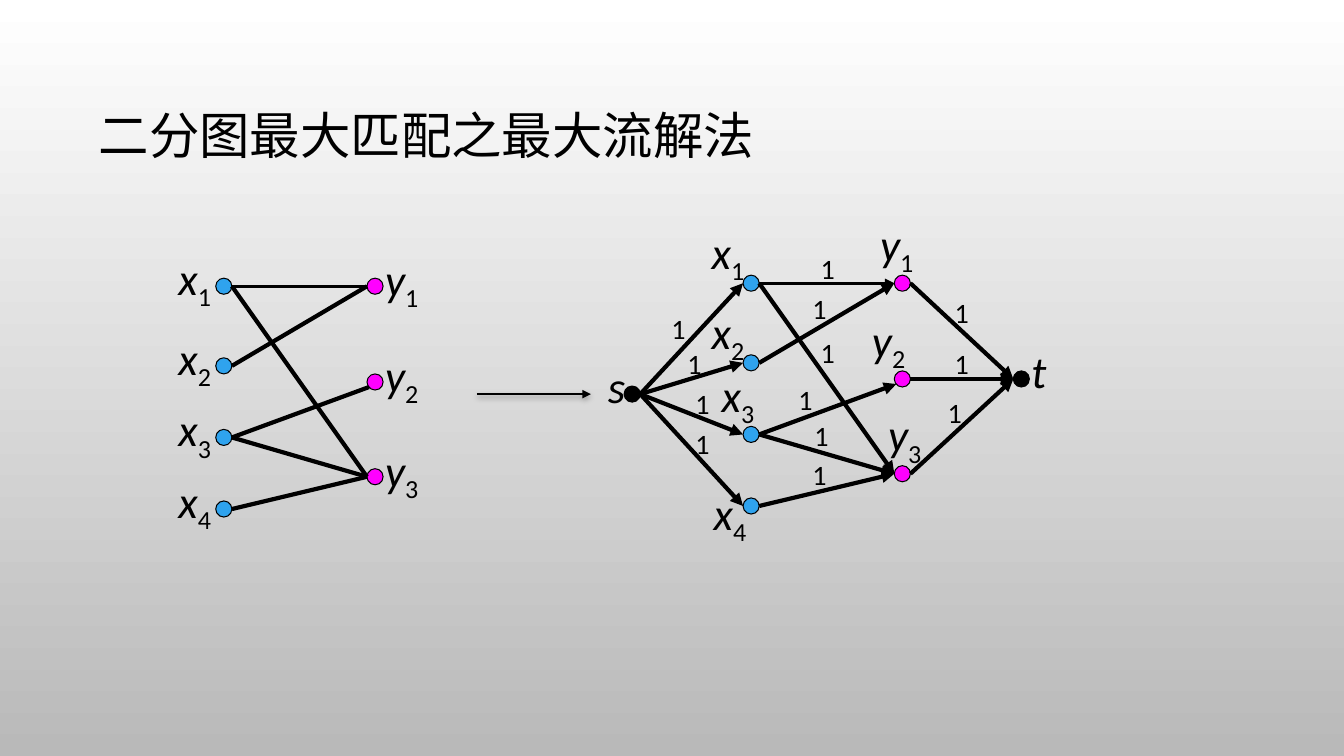
from lxml import etree
from pptx import Presentation
from pptx.dml.color import RGBColor
from pptx.enum.shapes import MSO_CONNECTOR, MSO_SHAPE
from pptx.enum.text import MSO_ANCHOR, MSO_AUTO_SIZE
from pptx.oxml.ns import qn
from pptx.util import Inches, Pt

STRAIGHT = MSO_CONNECTOR.STRAIGHT
OVAL = MSO_SHAPE.OVAL
MIDDLE = MSO_ANCHOR.MIDDLE
FIT_SHAPE = MSO_AUTO_SIZE.SHAPE_TO_FIT_TEXT

BLACK = RGBColor(0, 0, 0)
WHITE = RGBColor(0xFF, 0xFF, 0xFF)
GREY = RGBColor(0xB9, 0xB9, 0xB9)
BLUE = RGBColor(0x2F, 0xA3, 0xEE)
MAGENTA = RGBColor(0xFF, 0x00, 0xFF)
FONT = "Calibri"
DOT = 0.16

# Top left corners of the vertices of the bipartite graph
VERTICES = {
    "x1": (2.14, 2.76), "x2": (2.14, 3.55), "x3": (2.14, 4.26), "x4": (2.14, 4.97),
    "y1": (3.64, 2.76), "y2": (3.64, 3.71), "y3": (3.64, 4.65),
}
EDGES = [("x1", "y1"), ("x1", "y3"), ("x2", "y1"),
         ("x3", "y2"), ("x3", "y3"), ("x4", "y3")]
NETWORK_SHIFT = (5.23, -0.03)
TERMINALS = {"s": (6.19, 3.83), "t": (10.05, 3.68)}
TERMINAL_EDGES = [("s", x) for x in ("x1", "x2", "x3", "x4")] + [
    (y, "t") for y in ("y1", "y2", "y3")]

# Label offsets from a vertex
LABEL_OFFSETS = {"x": (-0.47, -0.32), "y": (0.08, -0.31),
                 "s": (-0.26, -0.32), "t": (0.08, -0.32)}
NETWORK_LABELS = {
    "x1": (6.96, 2.18), "x2": (6.96, 2.97), "x3": (7.06, 3.6), "x4": (6.98, 4.77),
    "y1": (8.63, 2.1), "y2": (8.55, 3.05), "y3": (8.71, 3.99),
}
CAPACITIES = [
    (6.56, 3.04), (6.72, 3.39), (6.8, 3.79), (6.8, 4.18),
    (8.04, 2.45), (7.96, 2.84), (8.04, 3.28), (7.82, 3.75), (7.98, 4.1), (7.96, 4.49),
    (9.37, 2.88), (9.37, 3.39), (9.3, 3.87),
]


def add_text(slide, left, top, width, height, text, size):
    box = slide.shapes.add_textbox(Inches(left), Inches(top), Inches(width), Inches(height))
    paragraph = box.text_frame.paragraphs[0]
    paragraph.add_run().text = text
    paragraph.font.name = FONT
    paragraph.font.size = Pt(size)
    paragraph.font.color.rgb = BLACK
    return box.text_frame


def add_title(slide, text):
    frame = add_text(slide, 0.88, 0.5, 11.33, 1.75, text, 36)
    frame.word_wrap = True
    frame.vertical_anchor = MIDDLE
    frame.paragraphs[0].line_spacing = 0.9


def add_label(slide, name, position):
    """Write a vertex name: an italic letter with its index as a subscript."""
    frame = add_text(slide, *position, 0.65, 0.63, name[0], 32)
    frame.word_wrap = True
    frame.auto_size = FIT_SHAPE
    paragraph = frame.paragraphs[0]
    paragraph.runs[0].font.italic = True
    if name[1:]:
        index = paragraph.add_run()
        index.text = name[1:]
        index._r.get_or_add_rPr().set("baseline", "-25000")


def add_capacity(slide, position):
    frame = add_text(slide, *position, 0.34, 0.43, "1", 20)
    frame.word_wrap = False
    frame.auto_size = FIT_SHAPE


def add_vertex(slide, position, color):
    left, top = position
    dot = slide.shapes.add_shape(OVAL, Inches(left), Inches(top), Inches(DOT), Inches(DOT))
    dot.shadow.inherit = False
    dot.fill.solid()
    dot.fill.fore_color.rgb = color
    dot.line.color.rgb = BLACK
    dot.line.width = Pt(0.75)


def add_line(slide, start, end, width, arrow):
    """Draw a line and return its effect list."""
    line = slide.shapes.add_connector(STRAIGHT, *(Inches(v) for v in (*start, *end)))
    line.line.color.rgb = BLACK
    line.line.width = Pt(width)
    if arrow:
        etree.SubElement(line.line._get_or_add_ln(), qn("a:tailEnd"), type="triangle")
    return etree.SubElement(line._element.spPr, qn("a:effectLst"))


def add_edge(slide, vertices, source, target, arrow):
    """Join the right side of one vertex to the left side of another."""
    left, top = vertices[source]
    start = (left + DOT, top + DOT / 2)
    left, top = vertices[target]
    # The edge into y2 rises to the lower left of the dot
    end = (left + 0.02, top + 0.13) if target == "y2" else (left, top + DOT / 2)
    width = 2.25 if (source, target) == ("x1", "y1") else 3
    add_line(slide, start, end, width, arrow)


def add_graph(slide, vertices, edges, labels, arrow):
    colors = {"x": BLUE, "y": MAGENTA}
    for name, position in vertices.items():
        add_vertex(slide, position, colors.get(name[0], BLACK))
    for name, (left, top) in vertices.items():
        dx, dy = LABEL_OFFSETS[name[0]]
        add_label(slide, name, labels.get(name, (left + dx, top + dy)))
    for source, target in edges:
        add_edge(slide, vertices, source, target, arrow)


def add_transformation_arrow(slide):
    effects = add_line(slide, (4.73, 3.91), (5.86, 3.91), 1.75, True)
    shadow = etree.SubElement(effects, qn("a:outerShdw"), blurRad=str(Pt(4)),
                              dist=str(Pt(2)), dir="5400000", rotWithShape="0")
    color = etree.SubElement(shadow, qn("a:srgbClr"), val=str(BLACK))
    etree.SubElement(color, qn("a:alpha"), val="28000")


def set_background(slide):
    fill = slide.background.fill
    fill.gradient()
    fill.gradient_angle = 270
    for stop, color, position in zip(fill.gradient_stops, (WHITE, GREY), (0, 1)):
        stop.color.rgb = color
        stop.position = position


def main():
    deck = Presentation()
    deck.slide_width = Inches(13.33)
    deck.slide_height = Inches(7.5)
    slide = deck.slides.add_slide(deck.slide_layouts[6])
    set_background(slide)
    add_title(slide, "二分图最大匹配之最大流解法")

    add_graph(slide, VERTICES, EDGES, {}, arrow=False)

    dx, dy = NETWORK_SHIFT
    network = {name: (left + dx, top + dy) for name, (left, top) in VERTICES.items()}
    network.update(TERMINALS)
    add_graph(slide, network, EDGES + TERMINAL_EDGES, NETWORK_LABELS, arrow=True)
    for position in CAPACITIES:
        add_capacity(slide, position)

    add_transformation_arrow(slide)
    deck.save("out.pptx")


if __name__ == "__main__":
    main()
